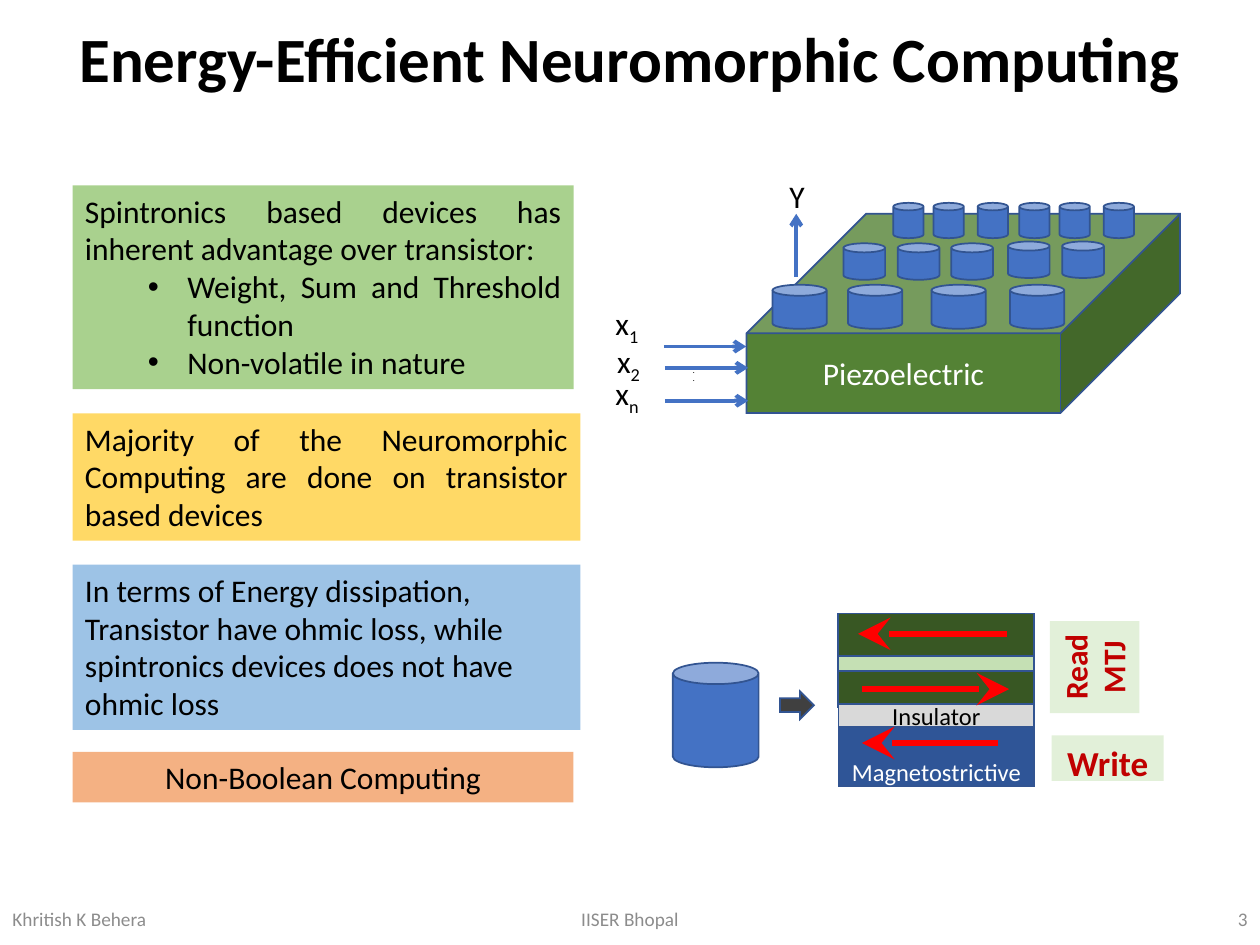
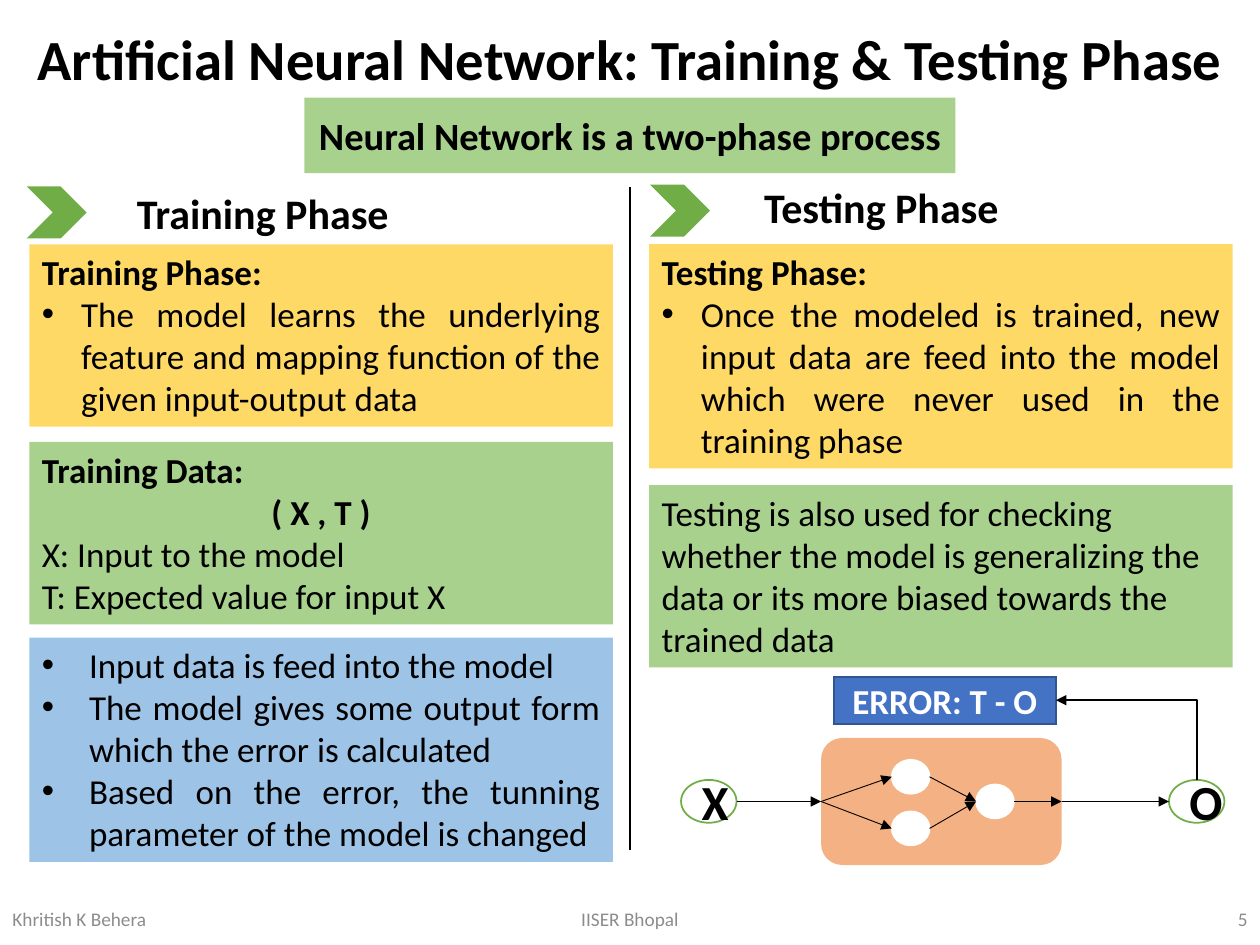
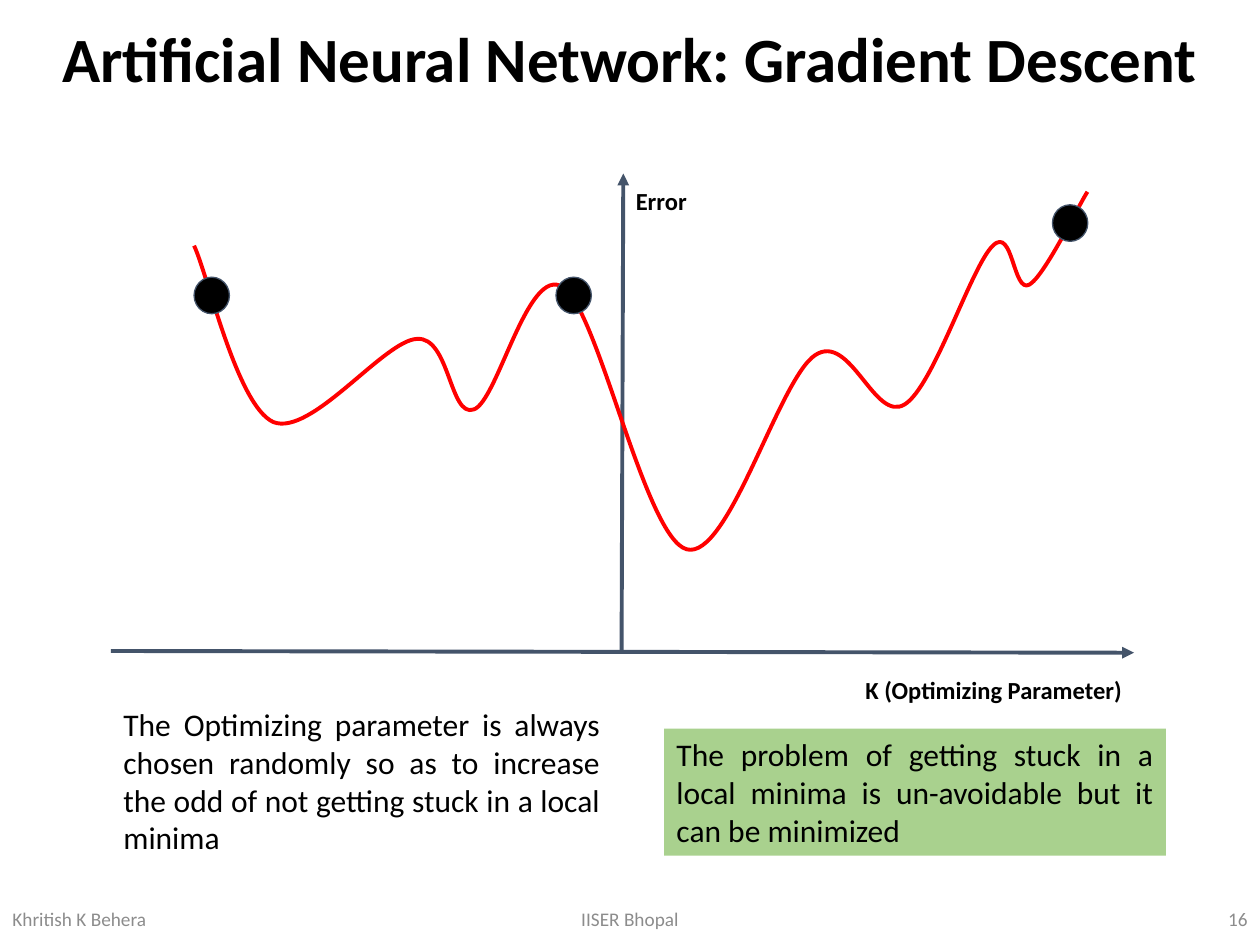
"""Build three slides on neuromorphic computing and neural networks."""
from dataclasses import dataclass

from lxml import etree
from pptx import Presentation
from pptx import util as u
from pptx.dml.color import RGBColor
from pptx.enum import shapes, text
from pptx.oxml.ns import qn

FONT = "Calibri"
C = {
    "black": "000000", "white": "FFFFFF", "grey": "8C8C8C", "slate": "44546A",
    "green": "A9D18E", "yellow": "FFD966", "sky": "9DC3E6", "orange": "F4B183",
    "blue": "4472C4", "edge": "325491", "navy": "2F5597", "leaf": "70AD47",
    "piezo": "548235", "magnet": "385723", "spacer": "C5E0B4", "mint": "E2F0D9",
    "silver": "D9D9D9", "charcoal": "404040", "red": "FF0000", "crimson": "C00000",
}
ALIGN = {"l": text.PP_ALIGN.LEFT, "c": text.PP_ALIGN.CENTER,
         "r": text.PP_ALIGN.RIGHT, "j": text.PP_ALIGN.JUSTIFY}
ANCHOR = {"t": text.MSO_ANCHOR.TOP, "m": text.MSO_ANCHOR.MIDDLE,
          "b": text.MSO_ANCHOR.BOTTOM}
G = shapes.MSO_SHAPE
NODE_W, NODE_H = 21.6, 19.4
FLOW_Y = 458


@dataclass
class Para:
    """One paragraph: its text, subscript, alignment and bullet indent."""
    body: str
    align: str = "l"
    bold: bool = False
    left: float = 0
    hang: float = 0
    sub: str = ""


def rgb(name):
    """Return the named colour."""
    return RGBColor.from_string(C[name])


def add_run(p, body, size, color, bold):
    """Add one formatted run to a paragraph."""
    r = p.add_run()
    r.text = body
    r.font.name, r.font.size, r.font.bold = FONT, u.Pt(size), bold
    r.font.color.rgb = rgb(color)
    return r


def fill_text(sp, paras, size=18, color="black", anchor="t", pad=3.6):
    """Write paragraphs into the text frame of a shape."""
    tf = sp.text_frame
    tf.word_wrap = True
    tf.auto_size = text.MSO_AUTO_SIZE.NONE
    tf.vertical_anchor = ANCHOR[anchor]
    tf.margin_left = tf.margin_right = u.Pt(7.2)
    tf.margin_top = tf.margin_bottom = u.Pt(pad)
    for i, para in enumerate(paras):
        p = tf.add_paragraph() if i else tf.paragraphs[0]
        p.alignment = ALIGN[para.align]
        if para.hang:
            pPr = p._p.get_or_add_pPr()
            pPr.set("marL", str(u.Pt(para.left)))
            pPr.set("indent", str(u.Pt(-para.hang)))
            etree.SubElement(pPr, qn("a:buFont"), typeface="Arial")
            etree.SubElement(pPr, qn("a:buChar"), char="•")
        for j, line in enumerate(para.body.split("\n")):
            if j:
                p.add_line_break()
            add_run(p, line, size, color, para.bold)
        if para.sub:
            r = add_run(p, para.sub, size, color, para.bold)
            r._r.get_or_add_rPr().set("baseline", "-25000")


def add_box(s, kind, at, fill, line=None, width=1, paras=(), **style):
    """Add a filled preset shape with optional outline and text."""
    sp = s.shapes.add_shape(kind, *map(u.Pt, at))
    sp.shadow.inherit = False
    sp.fill.solid()
    sp.fill.fore_color.rgb = rgb(fill)
    if line:
        sp.line.color.rgb = rgb(line)
        sp.line.width = u.Pt(width)
        ln = sp._element.spPr.find(qn("a:ln"))
        etree.SubElement(ln, qn("a:miter"), lim="800000")
    else:
        sp.line.fill.background()
    if paras:
        fill_text(sp, paras, **style)
    return sp


def add_label(s, at, *paras, **style):
    """Add a plain text box."""
    sp = s.shapes.add_textbox(*map(u.Pt, at))
    fill_text(sp, paras, **style)


def add_line(s, start, end, color, width, head=None, head_size="med",
             kind=shapes.MSO_CONNECTOR.STRAIGHT):
    """Add a connector, with an arrowhead at its end if asked."""
    c = s.shapes.add_connector(kind, *map(u.Pt, (*start, *end)))
    c.line.color.rgb = rgb(color)
    c.line.width = u.Pt(width)
    spPr = c._element.spPr
    if head:
        etree.SubElement(spPr.find(qn("a:ln")), qn("a:tailEnd"),
                         type=head, w=head_size, len=head_size)
    etree.SubElement(spPr, qn("a:effectLst"))
    return c


def add_corner_arrow(s, at):
    """Add a one-bend arrow that rises from its start and then turns left."""
    c = add_line(s, (0, 0), (1, 1), "black", 1, "triangle",
                 kind=shapes.MSO_CONNECTOR.ELBOW)
    c.left, c.top, c.width, c.height = map(u.Pt, at)
    spPr = c._element.spPr
    xfrm = spPr.find(qn("a:xfrm"))
    xfrm.set("rot", "16200000")
    xfrm.set("flipV", "1")
    spPr.find(qn("a:prstGeom")).set("prst", "bentConnector2")


def add_curve(s, start, segments, color, width):
    """Draw a smooth open line through cubic segments."""
    fb = s.shapes.build_freeform(*map(u.Pt, start))
    fb.add_line_segments([tuple(map(u.Pt, seg[-1])) for seg in segments], close=False)
    sp = fb.convert_to_shape()
    for leg, seg in zip(list(sp._element.iter(qn("a:lnTo"))), segments):
        leg.tag = qn("a:cubicBezTo")
        for i, (x, y) in enumerate(seg[:2]):
            pt = leg.makeelement(qn("a:pt"), {"x": str(u.Pt(x) - sp.left),
                                              "y": str(u.Pt(y) - sp.top)})
            leg.insert(i, pt)
    sp.shadow.inherit = False
    sp.fill.background()
    sp.line.color.rgb = rgb(color)
    sp.line.width = u.Pt(width)


def add_slide(prs, title, number, size=36):
    """Add a title-only slide with its title and footer."""
    s = prs.slides.add_slide(prs.slide_layouts[5])
    sp = s.shapes.title
    sp.left, sp.top, sp.width, sp.height = map(u.Pt, (0, 0.7, 720, 69.1))
    fill_text(sp, [Para(title, "c", True)], size=size, anchor="m")
    sp.text_frame.paragraphs[0].line_spacing = 0.9
    for x, w, body, align in ((0, 162, "Khritish K Behera", "l"),
                              (238.5, 243, "IISER Bhopal", "c"),
                              (558, 162, str(number), "r")):
        add_label(s, (x, 510.5, w, 28.8), Para(body, align),
                  size=11, color="grey", anchor="m")
    return s


def add_can(s, at):
    """Add one magnetic pillar."""
    add_box(s, G.CAN, at, "blue", "edge")


def add_crossbar(s):
    """Draw the pillar array on its piezoelectric slab, with its inputs."""
    slab = add_box(s, G.CUBE, (426.6, 122.2, 247.7, 113.8), "piezo", "edge",
                   paras=[Para("Piezoelectric", "c")], color="white", anchor="m")
    slab.adjustments[0] = 0.6
    rows = (
        (115.9, 17.3, 20.2, (510.5, 533.5, 558.7, 582.5, 605.5, 630.7)),
        (139, 23.8, 20.9, (482, 513, 543.6)),
        (138, 23.8, 20.9, (576, 607)),
        (162.7, 31, 25.2, (441.4, 484.6, 532.3, 577.2)),
    )
    for y, w, h, lefts in rows:
        for x in lefts:
            add_can(s, (x, y, w, h))
    for sub, label_x, label_y, start_x, end_x, arrow_y in (
            ("1", 344.6, 170.4, 379.4, 426.4, 198),
            ("2", 345.5, 192.2, 380, 427.5, 210.2),
            ("n", 344.6, 210.2, 380, 427.5, 229)):
        add_line(s, (start_x, arrow_y), (end_x, arrow_y), "blue", 2.25, "arrow")
        add_label(s, (label_x, label_y, 54, 40.3), Para("x", sub=sub))
    add_label(s, (388.8, 205.9, 25.2, 23), Para(".", bold=True),
              Para(".", bold=True), size=4)


def add_pillar_stack(s):
    """Draw one pillar and the layers inside it."""
    add_can(s, (384.5, 378.7, 49, 59.8))
    add_box(s, G.RIGHT_ARROW, (445.7, 395.1, 19.4, 15.8), "charcoal", "edge")
    add_box(s, G.RECTANGLE, (479.3, 414.7, 111.6, 34.6), "navy", "edge",
            paras=[Para("Magnetostrictive", "c")], size=14, color="white",
            anchor="b", pad=0)
    for y, h, fill in ((350.6, 24.2, "magnet"), (375.1, 8.6, "spacer"),
                       (383.6, 20.2, "magnet")):
        add_box(s, G.RECTANGLE, (479, y, 112, h), fill, "edge")
    add_box(s, G.RECTANGLE, (479.2, 402.5, 111.8, 13), "silver", "edge",
            paras=[Para("Insulator", "c")], size=14, anchor="m")
    for x1, x2, y in ((575.3, 490.3, 362.2), (492.5, 576.7, 393.8),
                      (570.2, 492.5, 424.6)):
        add_line(s, (x1, y), (x2, y), "red", 3.75, "stealth", "lg")
    add_box(s, G.RECTANGLE, (601, 420.3, 64, 25.9), "mint",
            paras=[Para("Write", "c", True)], size=20, color="crimson")
    sp = add_box(s, G.RECTANGLE, (599.2, 355.7, 52.6, 51.1), "mint",
                 paras=[Para("Read\nMTJ", "c", True)], color="crimson")
    sp.rotation = 270


def neuromorphic_slide(prs):
    """Build the slide on neuromorphic computing."""
    s = add_slide(prs, "Energy-Efficient Neuromorphic Computing", 3)
    cards = (
        (106, 286.4, 116.4, "green", [
            Para("Spintronics based devices has inherent advantage over transistor:", "j"),
            Para("Weight, Sum and Threshold function", "j", left=58.5, hang=22.5),
            Para("Non-volatile in nature", "j", left=58.5, hang=22.5)]),
        (322.6, 290.2, 94.5, "sky", [
            Para("In terms of Energy dissipation, Transistor have ohmic loss, while "
                 "spintronics devices does not have ohmic loss")]),
        (236.2, 290.2, 72.7, "yellow", [
            Para("Majority of the Neuromorphic Computing are done on transistor "
                 "based devices", "j")]),
        (429.6, 286.2, 29, "orange", [Para("Non-Boolean Computing", "c")]),
    )
    for y, w, h, fill, paras in cards:
        add_box(s, G.RECTANGLE, (41.5, y, w, h), fill, paras=paras)
    add_crossbar(s.shapes.add_group_shape())
    add_pillar_stack(s.shapes.add_group_shape())
    add_line(s, (455, 158.4), (455, 122.2), "blue", 2.25, "arrow")
    add_label(s, (444, 97.9, 31, 28.8), Para("Y"))


def add_network(s):
    """Draw the small network from input X to output O with its error loop."""
    net = add_box(s, G.FLOWCHART_ALTERNATE_PROCESS, (469.2, 421.7, 137.4, 72.6), "orange")
    for x, name in ((389.2, "X"), (668, "O")):
        add_box(s, G.OVAL, (x, 445.7, 31.7, 24.5), "white", "leaf",
                paras=[Para(name, "c", True)], size=28, anchor="m")
    add_box(s, G.FLOWCHART_PROCESS, (476.6, 387, 126.7, 26.6), "blue", "edge",
            paras=[Para("ERROR: T - O", "c", True)], size=20, color="white", anchor="m")
    add_corner_arrow(s, (621, 382.5, 45.4, 80.6))
    hidden_x, output_x = 509.6, 557.8
    left, right = (469.2, FLOW_Y), (606.6, FLOW_Y)
    for x, y in ((hidden_x, 434.2), (hidden_x, 463.7), (output_x, 448.3)):
        add_box(s, G.OVAL, (x, y, NODE_W, NODE_H), "white", "white")
    add_line(s, (420.9, FLOW_Y), left, "black", 1, "triangle").end_connect(net, 1)
    add_line(s, right, (668, FLOW_Y), "black", 1, "triangle").begin_connect(net, 3)
    for y in (443.9, 473.4):
        c = add_line(s, left, (hidden_x, y), "black", 0.5, "triangle")
        c.begin_connect(net, 1)
        add_line(s, (hidden_x + NODE_W, y), (output_x, FLOW_Y), "black", 0.5, "triangle")
    c = add_line(s, (output_x + NODE_W, FLOW_Y), right, "black", 0.5, "triangle")
    c.end_connect(net, 3)


def phases_slide(prs):
    """Build the slide on the training and testing phases."""
    s = add_slide(prs, "Artificial Neural Network: Training & Testing Phase", 5, 32.4)
    add_box(s, G.RECTANGLE, (174, 55.8, 372, 43.2), "green",
            paras=[Para("Neural Network is a two-phase process", "c", True)],
            size=22, anchor="m")
    for x, y, head_x, head_y, name in ((16.4, 107, 49.7, 103, "Training Phase"),
                                       (372.6, 106, 403.2, 99.8, "Testing Phase")):
        add_box(s, G.RECTANGLE, (head_x, head_y, 200.9, 36.7), "white",
                paras=[Para(name, "c", True)], size=24, anchor="m")
        add_box(s, G.CHEVRON, (x, y, 32.4, 28.8), "leaf", "leaf")
    add_line(s, (360, 107), (360, 485.8), "black", 1.5)
    steps = ("Input data is feed into the model",
             "The model gives some output form which the error is calculated",
             "Based on the error, the tunning parameter of the model is changed")
    cards = (
        (16.8, 139.7, 104.2, "yellow", [
            Para("Training Phase:", "j", True),
            Para("The model learns the underlying feature and mapping function of "
                 "the given input-output data", "j", left=22.5, hang=22.5)]),
        (16.8, 364.3, 128.2, "sky", [Para(b, "j", left=27, hang=27) for b in steps]),
        (16.8, 252.6, 104.2, "green", [
            Para("Training Data:", bold=True), Para("( X , T )", "c", True),
            Para("X: Input to the model"), Para("T: Expected value for input X")]),
        (371, 139.5, 128.2, "yellow", [
            Para("Testing Phase:", "j", True),
            Para("Once the modeled is trained, new input data are feed into the model "
                 "which were never used in the training phase", "j",
                 left=22.5, hang=22.5)]),
        (371, 277.2, 104.2, "green", [
            Para("Testing is also used for checking whether the model is generalizing "
                 "the data or its more biased towards the trained data")]),
    )
    for x, y, h, fill, paras in cards:
        add_box(s, G.RECTANGLE, (x, y, 333.4, h), fill, paras=paras, size=20)
    add_network(s)


def descent_slide(prs):
    """Build the slide on gradient descent."""
    s = add_slide(prs, "Artificial Neural Network: Gradient Descent", 16)
    add_line(s, (63.4, 372), (648, 373), "slate", 2.25, "triangle")
    add_line(s, (355.2, 372.2), (356.2, 99.2), "slate", 2.25, "triangle")
    for at, name in (((356.2, 99, 46.8, 31.7), "Error"),
                     ((487.4, 378.7, 162.5, 31.7), "K (Optimizing Parameter)")):
        add_label(s, at, Para(name, bold=True), size=14, pad=7.2)
    error_curve = (
        ((118.8, 157), (135.4, 231.8), (156.2, 241.2)),
        ((177.8, 249.8), (219.6, 194.4), (238.3, 193.7)),
        ((257, 192.2), (257, 239), (270.7, 234)),
        ((284.4, 229.7), (301.7, 150.5), (321.8, 164.2)),
        ((342, 177.1), (368.6, 307.4), (392.4, 313.9)),
        ((416.2, 320.4), (445, 216.7), (465.8, 203)),
        ((486, 189.4), (499.7, 241.9), (517, 231.1)),
        ((533.5, 221), (555.1, 151.9), (567.4, 140.4)),
        ((578.9, 128.9), (578.9, 167.8), (588.2, 162.7)),
        ((596.9, 157.7), (615.6, 118.8), (621.4, 109.6)),
    )
    add_curve(s, (110.9, 140.4), error_curve, "red", 2.25)
    for x, y in ((110.9, 158.4), (317.7, 158.4), (601.4, 117)):
        add_box(s, G.OVAL, (x, y, 20.2, 20.9), "black", "slate", 0.75)
    add_label(s, (63.4, 399.3, 286.6, 94.3),
              Para("The Optimizing parameter is always chosen randomly so as to increase "
                   "the odd of not getting stuck in a local minima", "j"))
    add_box(s, G.RECTANGLE, (379.5, 416.4, 286.8, 72.6), "green",
            paras=[Para("The problem of getting stuck in a local minima is un-avoidable "
                        "but it can be minimized", "j")])


def main():
    """Build and save the presentation."""
    prs = Presentation()
    prs.slide_width, prs.slide_height = u.Pt(720), u.Pt(540)
    neuromorphic_slide(prs)
    phases_slide(prs)
    descent_slide(prs)
    prs.save("out.pptx")


if __name__ == "__main__":
    main()
